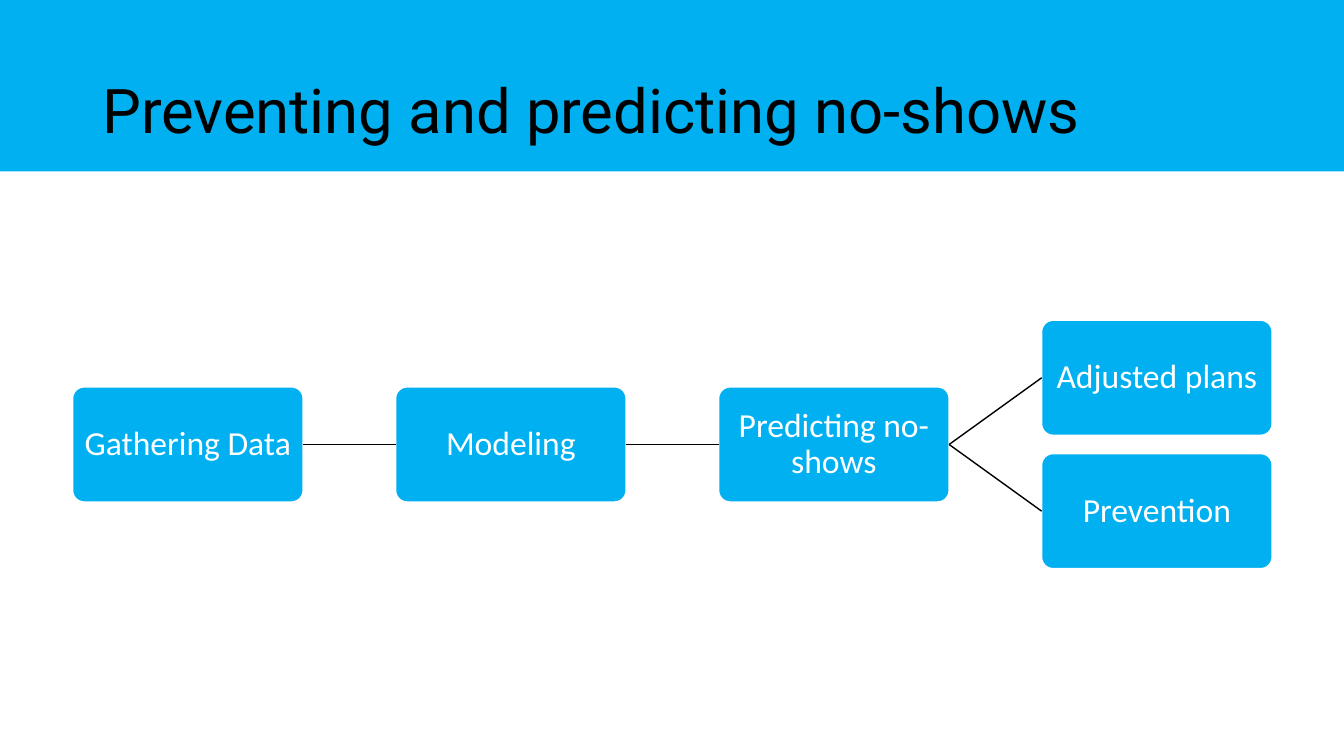
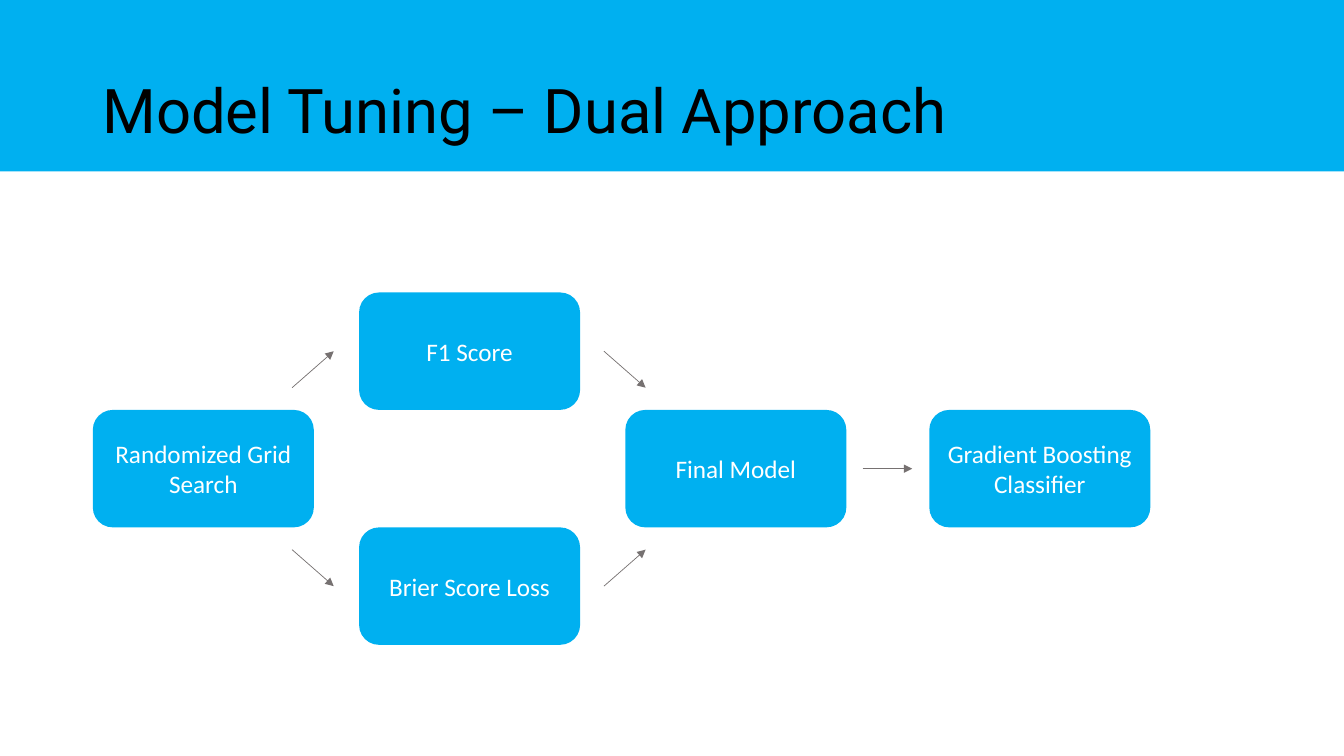
from dataclasses import dataclass

from lxml.etree import SubElement
from pptx import Presentation
from pptx.dml.color import RGBColor
from pptx.enum.shapes import MSO_CONNECTOR, MSO_SHAPE
from pptx.enum.text import MSO_ANCHOR, PP_ALIGN
from pptx.oxml.ns import qn
from pptx.shapes.autoshape import Shape
from pptx.shapes.connector import Connector
from pptx.slide import Slide
from pptx.util import Cm, Pt

BLUE = "00B0F0"
WHITE = "FFFFFF"
BLACK = "000000"
GREY = "767171"
TITLE_FONT = "Roboto"
BODY_FONT = "Calibri"
SLIDE_WIDTH = 33.87
SLIDE_HEIGHT = 19.05
BAND_HEIGHT = 4.32
RIGHT_SIDE = 3
LEFT_SIDE = 1


@dataclass(frozen=True)
class BoxStyle:
    width: float
    height: float
    font_size: int
    corner: float
    outline: str | None = None
    inset: float | None = None
    line_spacing: float = 1.0


@dataclass(frozen=True)
class Box:
    text: str
    left: float
    middle: float


@dataclass(frozen=True)
class Arrow:
    start_x: float
    start_y: float
    end_x: float
    end_y: float


FLOW_STYLE = BoxStyle(5.81, 2.9, 24, 0.1, WHITE, 0.05, 0.9)
TUNING_STYLE = BoxStyle(5.57, 2.96, 18, 0.17)


def color(value: str) -> RGBColor:
    return RGBColor.from_string(value)


def add_filled_shape(slide: Slide, kind: MSO_SHAPE, left: float, top: float,
                     width: float, height: float) -> Shape:
    shape = slide.shapes.add_shape(kind, Cm(left), Cm(top), Cm(width), Cm(height))
    shape.shadow.inherit = False
    shape.fill.solid()
    shape.fill.fore_color.rgb = color(BLUE)
    shape.line.fill.background()
    return shape


def write_text(shape: Shape, text: str, font_name: str, size: int, text_color: str,
               alignment: PP_ALIGN, line_spacing: float) -> None:
    frame = shape.text_frame
    frame.word_wrap = True
    frame.vertical_anchor = MSO_ANCHOR.MIDDLE
    paragraph = frame.paragraphs[0]
    paragraph.text = text
    paragraph.alignment = alignment
    paragraph.line_spacing = line_spacing
    paragraph.font.name = font_name
    paragraph.font.size = Pt(size)
    paragraph.font.color.rgb = color(text_color)


def add_titled_slide(presentation: Presentation, title: str) -> Slide:
    slide = presentation.slides.add_slide(presentation.slide_layouts[6])
    add_filled_shape(slide, MSO_SHAPE.RECTANGLE, 0, 0, SLIDE_WIDTH, BAND_HEIGHT)
    title_box = slide.shapes.add_textbox(Cm(2.33), Cm(1.02), Cm(29.21), Cm(3.68))
    write_text(title_box, title, TITLE_FONT, 44, BLACK, PP_ALIGN.LEFT, 0.9)
    return slide


def add_box(slide: Slide, box: Box, style: BoxStyle) -> Shape:
    shape = add_filled_shape(slide, MSO_SHAPE.ROUNDED_RECTANGLE, box.left,
                             box.middle - style.height / 2, style.width, style.height)
    shape.adjustments[0] = style.corner
    if style.outline:
        shape.line.color.rgb = color(style.outline)
        shape.line.width = Pt(1)
    if style.inset is not None:
        frame = shape.text_frame
        frame.margin_left = frame.margin_right = Cm(style.inset)
        frame.margin_top = frame.margin_bottom = Cm(style.inset)
    write_text(shape, box.text, BODY_FONT, style.font_size, WHITE,
               PP_ALIGN.CENTER, style.line_spacing)
    return shape


def add_line(slide: Slide, ends: Arrow, line_color: str, width: float) -> Connector:
    connector = slide.shapes.add_connector(
        MSO_CONNECTOR.STRAIGHT, Cm(ends.start_x), Cm(ends.start_y),
        Cm(ends.end_x), Cm(ends.end_y))
    connector.line.color.rgb = color(line_color)
    connector.line.width = Pt(width)
    SubElement(connector._element.spPr, qn("a:effectLst"))
    return connector


def join_boxes(slide: Slide, source: Shape, target: Shape) -> None:
    connector = add_line(slide, Arrow(0, 0, 0, 0), BLACK, 1)
    connector.begin_connect(source, RIGHT_SIDE)
    connector.end_connect(target, LEFT_SIDE)


def add_arrow(slide: Slide, arrow: Arrow) -> None:
    connector = add_line(slide, arrow, GREY, 0.5)
    SubElement(connector.line._get_or_add_ln(), qn("a:tailEnd"), type="triangle")


def build_flow_slide(presentation: Presentation) -> None:
    slide = add_titled_slide(presentation, "Preventing and predicting no-shows")
    left, pitch, middle, branch_offset = 1.83, 8.14, 11.2, 1.68
    steps = [
        add_box(slide, Box(text, left + column * pitch, middle), FLOW_STYLE)
        for column, text in enumerate(("Gathering Data", "Modeling", "Predicting no-shows"))
    ]
    outcomes = [
        add_box(slide, Box(text, left + 3 * pitch, middle + side * branch_offset), FLOW_STYLE)
        for side, text in ((-1, "Adjusted plans"), (1, "Prevention"))
    ]
    for source, target in zip(steps, steps[1:]):
        join_boxes(slide, source, target)
    for outcome in outcomes:
        join_boxes(slide, steps[-1], outcome)


def build_tuning_slide(presentation: Presentation) -> None:
    slide = add_titled_slide(presentation, "Model Tuning – Dual Approach")
    left, pitch, middle = 2.34, 6.71, 11.81
    row_offset = TUNING_STYLE.height
    boxes = (
        Box("Randomized Grid Search", left, middle),
        Box("F1 Score", left + pitch, middle - row_offset),
        Box("Brier Score Loss", left + pitch, middle + row_offset),
        Box("Final Model", left + 2 * pitch, middle),
        Box("Gradient Boosting Classifier", 23.42, middle),
    )
    for box in boxes:
        add_box(slide, box, TUNING_STYLE)

    for side in (-1, 1):
        inner = middle + side * 2.04
        outer = middle + side * row_offset
        add_arrow(slide, Arrow(7.36, inner, 8.41, outer))
        add_arrow(slide, Arrow(15.22, outer, 16.27, inner))
    add_arrow(slide, Arrow(21.74, middle, 22.99, middle))


def main() -> None:
    presentation = Presentation()
    presentation.slide_width = Cm(SLIDE_WIDTH)
    presentation.slide_height = Cm(SLIDE_HEIGHT)
    build_flow_slide(presentation)
    build_tuning_slide(presentation)
    presentation.save("out.pptx")


if __name__ == "__main__":
    main()
